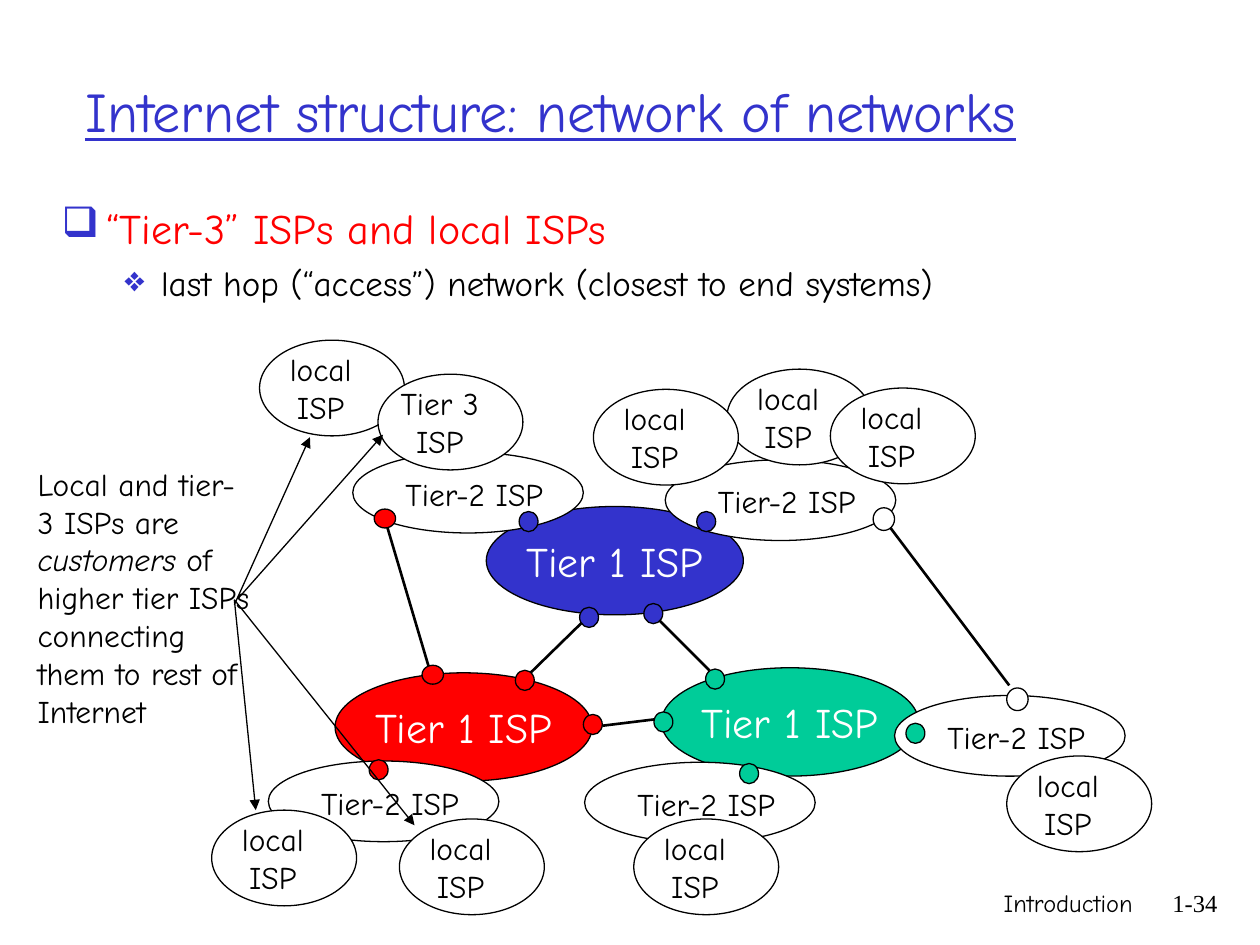
from dataclasses import dataclass

from lxml.etree import SubElement
from pptx import Presentation
from pptx.dml.color import RGBColor
from pptx.enum.shapes import MSO_CONNECTOR, MSO_SHAPE
from pptx.enum.text import MSO_ANCHOR, PP_ALIGN
from pptx.oxml.ns import qn
from pptx.util import Inches, Pt


@dataclass(frozen=True)
class Theme:
    font: str = "Comic Neue"
    number_font: str = "Times New Roman"
    black: str = "000000"
    white: str = "FFFFFF"
    blue: str = "3333CC"
    red: str = "FF0000"
    green: str = "00CC99"
    title: int = 32
    large: int = 24
    medium: int = 20
    label: int = 18
    footer: int = 14
    thin: float = 0.75
    thick: float = 1.5


theme = Theme()
presentation = Presentation()
presentation.slide_width = Inches(10)
presentation.slide_height = Inches(7.5)
slide = presentation.slides.add_slide(presentation.slide_layouts[6])


def add_box(box, text="", size=theme.label, color=theme.black, fill=None,
            align=PP_ALIGN.LEFT, anchor=MSO_ANCHOR.TOP, wrap=False, font=theme.font):
    """Add an outlined ellipse when a fill is given, otherwise a text box."""
    position = [Inches(value) for value in box]
    if fill:
        shape = slide.shapes.add_shape(MSO_SHAPE.OVAL, *position)
        shape.shadow.inherit = False
        shape.fill.solid()
        shape.fill.fore_color.rgb = RGBColor.from_string(fill)
        shape.line.color.rgb = RGBColor.from_string(theme.black)
        shape.line.width = Pt(theme.thin)
    else:
        shape = slide.shapes.add_textbox(*position)
    text_frame = shape.text_frame
    text_frame.word_wrap = wrap
    text_frame.vertical_anchor = anchor
    text_frame.text = text
    for paragraph in text_frame.paragraphs:
        paragraph.alignment = align
        for run in paragraph.runs:
            run.font.name = font
            run.font.size = Pt(size)
            run.font.color.rgb = RGBColor.from_string(color)
    return shape


def add_line(start, end, width, arrow=False):
    line = slide.shapes.add_connector(
        MSO_CONNECTOR.STRAIGHT, *[Inches(value) for value in (*start, *end)])
    line.line.color.rgb = RGBColor.from_string(theme.black)
    line.line.width = Pt(width)
    if arrow:
        SubElement(line.line._get_or_add_ln(), qn("a:tailEnd"), type="triangle")
    SubElement(line._element.spPr, qn("a:effectLst"))


# Footer and title
add_box((5.92, 7, 3.17, 0.5), "Introduction", theme.footer,
        align=PP_ALIGN.RIGHT, wrap=True)
add_box((9.08, 7, 0.68, 0.5), "1-34", theme.footer,
        align=PP_ALIGN.RIGHT, wrap=True, font=theme.number_font)
title = add_box((0.58, 0.25, 8.85, 1.25), "Internet structure: network of networks",
                theme.title, theme.blue, anchor=MSO_ANCHOR.MIDDLE, wrap=True)
title.text_frame.paragraphs[0].runs[0].font.underline = True

# Bulleted text
body = add_box((0.39, 1.56, 9.23, 1.79),
               "“Tier-3” ISPs and local ISPs\n"
               "last hop (“access”) network (closest to end systems)",
               theme.large, theme.red, wrap=True)
heading, detail = body.text_frame.paragraphs
for paragraph, bullet, margin, indent in [(heading, "❑", 0.36, -0.36),
                                          (detail, "❖", 0.79, -0.29)]:
    properties = paragraph._p.get_or_add_pPr()
    properties.set("marL", str(Inches(margin)))
    properties.set("indent", str(Inches(indent)))
    bullet_color = SubElement(properties, qn("a:buClr"))
    SubElement(bullet_color, qn("a:srgbClr"), val=theme.blue)
    SubElement(properties, qn("a:buChar"), char=bullet)
detail.level = 1
detail.space_before = Pt(5)
detail.runs[0].font.size = Pt(theme.medium)
detail.runs[0].font.color.rgb = RGBColor.from_string(theme.black)

# Tier 1 networks
for left, top, fill in [(2.66, 5.34, theme.red), (3.86, 4.02, theme.blue),
                        (5.25, 5.3, theme.green)]:
    add_box((left, top, 2.04, 0.86), "Tier 1 ISP", theme.large, theme.white, fill,
            PP_ALIGN.CENTER, MSO_ANCHOR.MIDDLE)

# Tier 2 networks
for left, top in [(5.28, 3.65), (2.8, 3.59), (2.13, 6.04), (4.64, 6.05), (7.1, 5.52)]:
    add_box((left, top, 1.83, 0.64), fill=theme.white)
    add_box((left + 0.32, top + 0.13, 1.3, 0.4), "Tier-2 ISP")

# Links between networks
for start, end in [((4.78, 5.76), (5.19, 5.71)), ((5.23, 4.92), (5.63, 5.32)),
                   ((4.19, 5.36), (4.63, 4.93)), ((3.07, 4.17), (3.42, 5.35)),
                   ((7.06, 4.18), (8.01, 5.44))]:
    add_line(start, end, theme.thick)

# Connection points, grouped by size and colour
connection_points = [
    (0.15, 0.16, theme.green, [(5.6, 5.31), (5.19, 5.65), (5.87, 6.06), (7.19, 5.74)]),
    (0.15, 0.16, theme.blue, [(5.11, 4.79), (4.6, 4.82), (5.53, 4.06), (4.12, 4.06)]),
    (0.15, 0.16, theme.red, [(4.09, 5.32), (4.63, 5.67), (2.93, 6.03)]),
    (0.17, 0.15, theme.red, [(2.97, 4.04), (3.35, 5.28)]),
    (0.17, 0.18, theme.white, [(6.93, 4.03), (7.99, 5.46)]),
]
for width, height, fill, positions in connection_points:
    for left, top in positions:
        add_box((left, top, width, height), fill=fill)

# Local and tier 3 networks, with the label offset and width for each name
label_places = {"local": (0.14, 0.69), "Tier 3": (0.07, 0.84)}
for left, top, name in [(5.77, 2.93, "local"), (4.71, 3.09, "local"),
                        (6.59, 3.08, "local"), (1.68, 6.43, "local"),
                        (2.06, 2.7, "local"), (3, 2.97, "Tier 3"),
                        (3.17, 6.5, "local"), (5.03, 6.5, "local"),
                        (7.99, 6, "local")]:
    offset, width = label_places[name]
    add_box((left, top, 1.15, 0.76), fill=theme.white)
    add_box((left + offset, top + 0.03, width, 0.7), f"{name}\nISP",
            align=PP_ALIGN.CENTER)

# Customer note, with one italic word
note = add_box((0.2, 3.64, 1.96, 2.2),
               "Local and tier- 3 ISPs are \nhigher tier ISPs\n"
               "connecting them to rest of Internet", wrap=True)
for text, italic in [("customers", True), (" of", False)]:
    run = note.text_frame.paragraphs[0].add_run()
    run.text = text
    run.font.name = theme.font
    run.font.size = Pt(theme.label)
    run.font.italic = italic
    run.font.color.rgb = RGBColor.from_string(theme.black)

# Arrows from the note to the customers
for start, end in [((1.86, 4.8), (2.46, 3.47)), ((1.89, 4.75), (3.04, 3.45)),
                   ((1.86, 4.76), (2.03, 6.43)), ((1.86, 4.76), (3.29, 6.55))]:
    add_line(start, end, theme.thin, arrow=True)

presentation.save("out.pptx")
